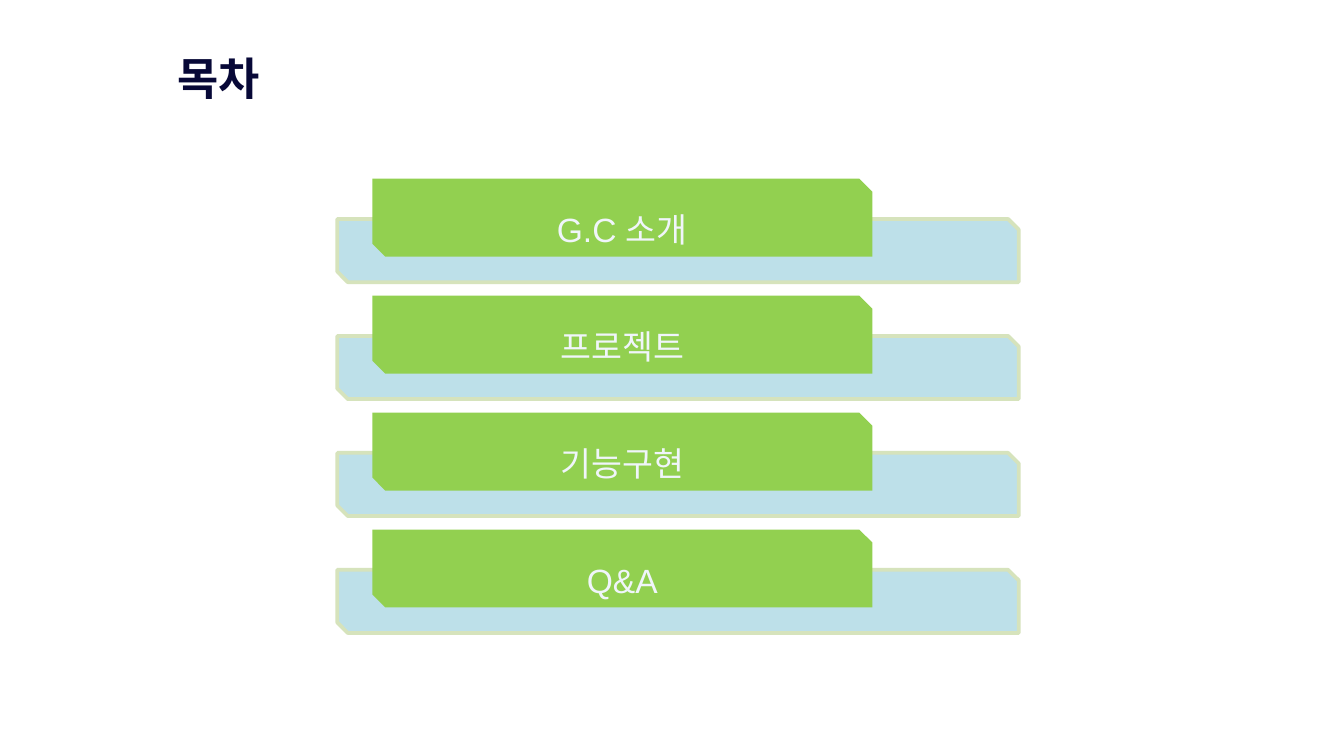
from lxml import etree
from pptx import Presentation
from pptx import util as u
from pptx.dml.color import RGBColor
from pptx.enum import shapes, text
from pptx.oxml.ns import qn

COLORS = {
    "title": "070837",
    "label": "F0F5FA",
    "tab": "92D050",
    "band": "B6DDE7",
    "border": "D6E3BC",
}
TOPICS = ["G.C 소개", "프로젝트", "기능구현", "Q&A"]
FIRST_TOP = 1.33
ROW_PITCH = 0.87
BAND_OFFSET = 0.3
SNIP = 0.167


def color(name):
    return RGBColor.from_string(COLORS[name])


def write_text(shape, content, size, color_name, bold=False, align=None,
               anchor=text.MSO_ANCHOR.TOP, insets=(0.1, 0.05), spacing=None):
    frame = shape.text_frame
    frame.word_wrap = True
    frame.auto_size = text.MSO_AUTO_SIZE.NONE
    frame.vertical_anchor = anchor
    frame.margin_left = frame.margin_right = u.Inches(insets[0])
    frame.margin_top = frame.margin_bottom = u.Inches(insets[1])
    paragraph = frame.paragraphs[0]
    paragraph.alignment = align
    paragraph.line_spacing = spacing
    run = paragraph.add_run()
    run.text = content
    run.font.name = "Arial"
    run.font.size = u.Pt(size)
    run.font.bold = bold
    run.font.color.rgb = color(color_name)


def add_snipped(group, box, fill, opacity=100, border=None):
    shape = group.shapes.add_shape(
        shapes.MSO_SHAPE.SNIP_2_DIAG_RECTANGLE, *map(u.Inches, box))
    shape.adjustments[0] = 0
    shape.adjustments[1] = SNIP
    shape.shadow.inherit = False
    shape.fill.solid()
    shape.fill.fore_color.rgb = color(fill)
    if opacity < 100:
        fill_color = shape.fill._xPr.find(qn("a:solidFill"))[0]
        etree.SubElement(fill_color, qn("a:alpha"), val=str(opacity * 1000))
    if border:
        shape.line.color.rgb = color(border)
        shape.line.width = u.Pt(2)
    else:
        shape.line.fill.background()
    return shape


def add_title(slide, content):
    title = slide.shapes.title
    title.left, title.top = u.Inches(1.22), u.Inches(0.33)
    title.width, title.height = u.Inches(3.36), u.Inches(0.47)
    write_text(title, content, 24, "title", bold=True, align=text.PP_ALIGN.LEFT)


def add_topic(group, row, content):
    top = FIRST_TOP + row * ROW_PITCH
    add_snipped(group, (2.51, top + BAND_OFFSET, 5.07, 0.47), "band",
                opacity=90, border="border")
    tab = add_snipped(group, (2.77, top, 3.72, 0.58), "tab")
    write_text(tab, content, 18, "label", align=text.PP_ALIGN.CENTER,
               anchor=text.MSO_ANCHOR.BOTTOM, insets=(0.13, 0), spacing=0.9)


def main():
    presentation = Presentation()
    presentation.slide_width = u.Inches(10)
    presentation.slide_height = presentation.slide_width * 9 // 16
    slide = presentation.slides.add_slide(presentation.slide_layouts[5])
    add_title(slide, "목차")
    group = slide.shapes.add_group_shape()
    for row, topic in enumerate(TOPICS):
        add_topic(group, row, topic)
    presentation.save("out.pptx")


if __name__ == "__main__":
    main()
